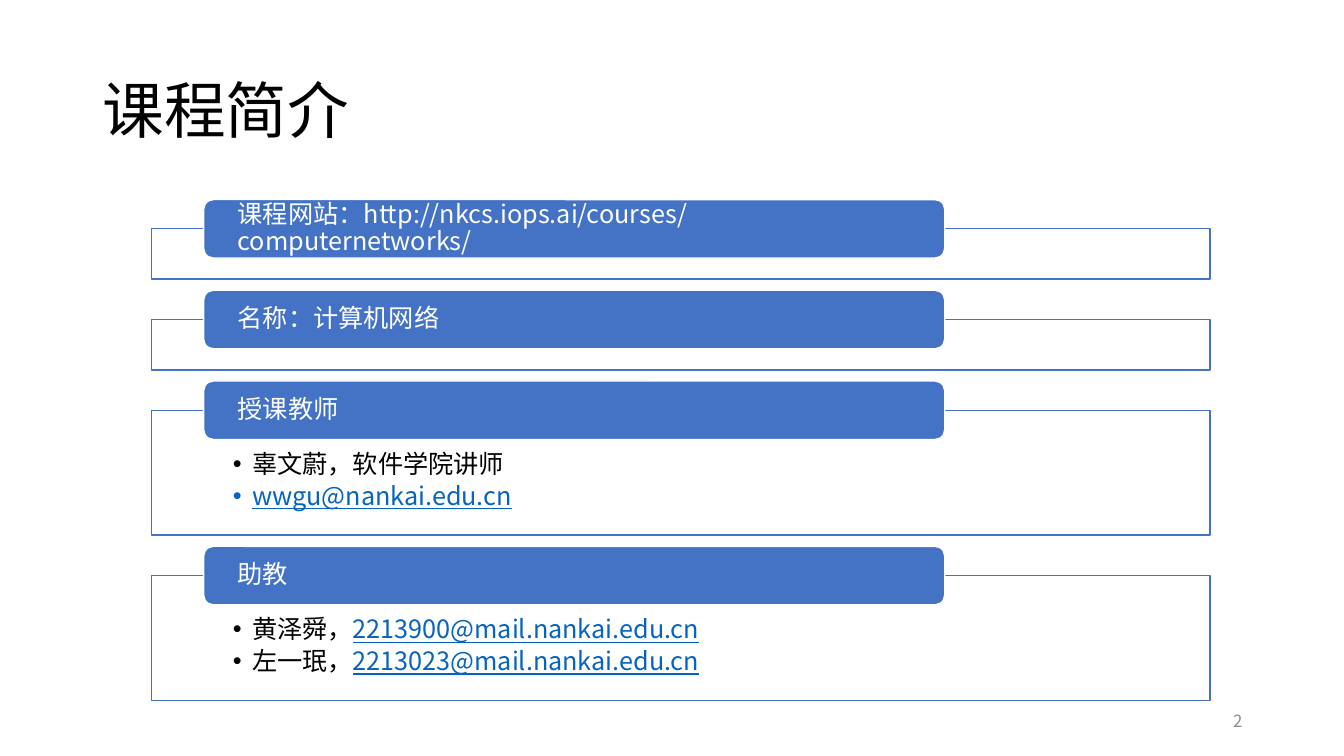
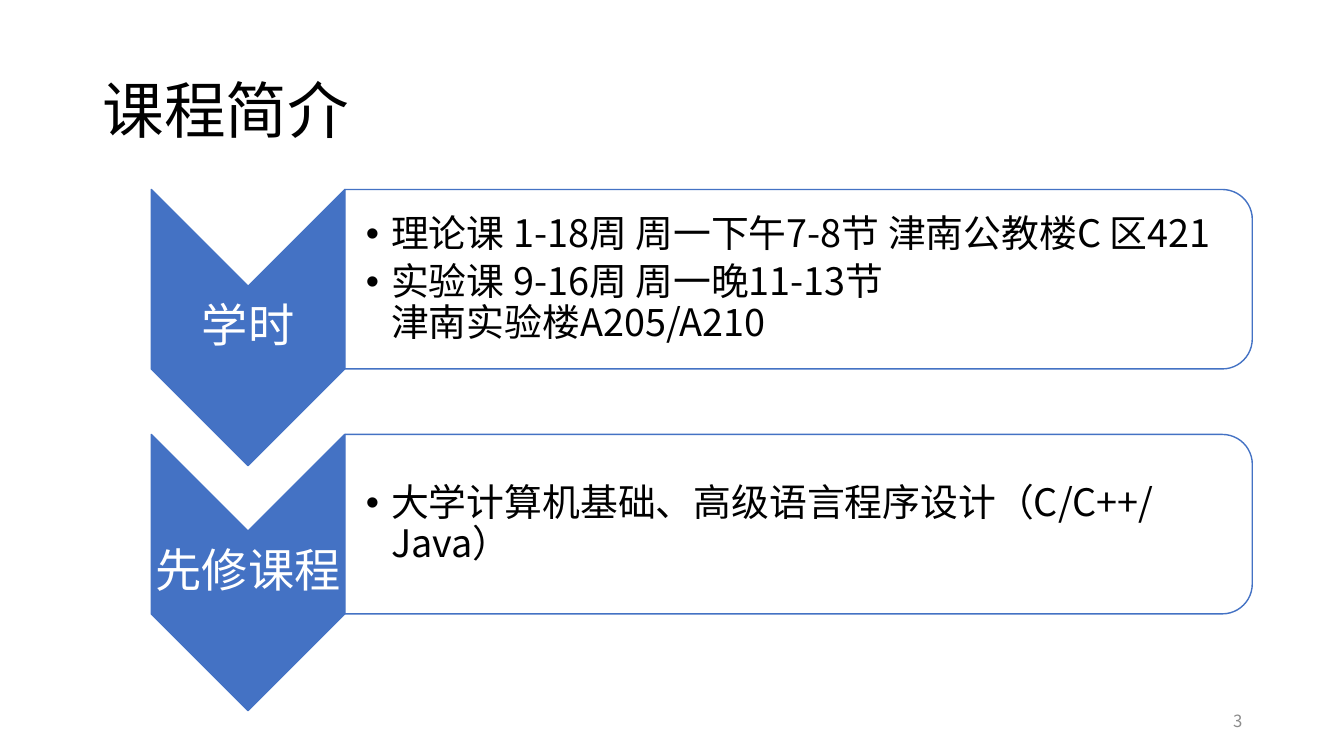
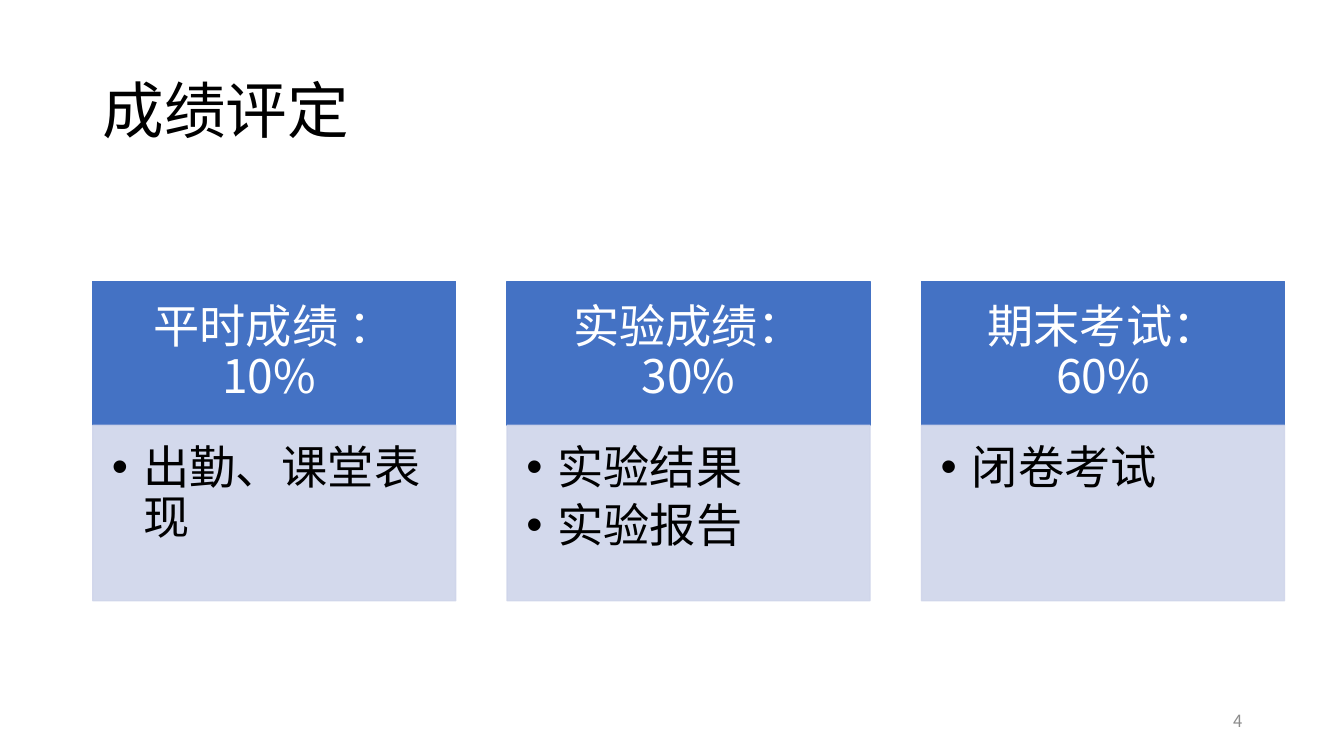
from dataclasses import dataclass

from lxml.etree import SubElement
from pptx import Presentation
from pptx.dml.color import RGBColor
from pptx.enum.shapes import MSO_SHAPE as Shape
from pptx.enum.text import MSO_ANCHOR as Anchor, PP_ALIGN as Align
from pptx.oxml.ns import qn
from pptx.util import Inches, Pt


@dataclass(frozen=True)
class Theme:
    font: str = "Noto Sans CJK SC"
    black: str = "000000"
    white: str = "FFFFFF"
    accent: str = "4472C4"
    tint: str = "CFD5EA"
    link: str = "0563C1"
    muted: str = "8C8C8C"
    title: int = 44
    label: int = 33
    body: int = 27
    small: int = 18
    number: int = 12
    line_width: int = 1
    line_spacing: float = 0.9
    opacity: int = 90


@dataclass(frozen=True)
class Box:
    left: float
    top: float
    width: float
    height: float

    def inches(self):
        return [Inches(v) for v in (self.left, self.top, self.width, self.height)]

    def turned(self):
        return Box(
            self.left + (self.width - self.height) / 2,
            self.top + (self.height - self.width) / 2,
            self.height,
            self.width,
        )


THEME = Theme()


def set_opacity(color_format, percent):
    for color in color_format.iter(qn("a:srgbClr")):
        SubElement(color, qn("a:alpha"), val=str(percent * 1000))


def add_block(page, kind, box, fill, line, opacity=100, line_opacity=100, quarter_turn=False):
    place = box.turned() if quarter_turn else box
    shape = page.shapes.add_shape(kind, *place.inches())
    shape.rotation = 90 if quarter_turn else 0
    shape.shadow.inherit = False
    shape.fill.solid()
    shape.fill.fore_color.rgb = RGBColor.from_string(fill)
    shape.line.color.rgb = RGBColor.from_string(line)
    shape.line.width = Pt(THEME.line_width)
    properties = shape.element.spPr
    if opacity < 100:
        set_opacity(properties.find(qn("a:solidFill")), opacity)
    if line_opacity < 100:
        set_opacity(properties.find(qn("a:ln")), line_opacity)
    return shape


def add_bullet(para, indent):
    properties = para._p.get_or_add_pPr()
    properties.set("marL", str(Inches(indent)))
    properties.set("indent", str(-Inches(indent)))
    SubElement(properties, qn("a:buFont"), typeface="Arial")
    SubElement(properties, qn("a:buChar"), char="•")


def add_span(para, text, size, color, underline=False):
    span = para.add_run()
    span.text = text
    font = span.font
    font.size = Pt(size)
    font.color.rgb = RGBColor.from_string(color)
    font.name = THEME.font
    if underline:
        font.underline = True
    SubElement(span._r.get_or_add_rPr(), qn("a:ea"), typeface=THEME.font)


def write(shape, paragraphs, size, color, insets=(0.1, 0.05, 0.1, 0.05),
          anchor=Anchor.MIDDLE, align=Align.LEFT, indent=0, spacing=THEME.line_spacing):
    frame = shape.text_frame
    frame.word_wrap = True
    frame.vertical_anchor = anchor
    frame.margin_left, frame.margin_top, frame.margin_right, frame.margin_bottom = map(Inches, insets)
    for index, parts in enumerate(paragraphs):
        para = frame.add_paragraph() if index else frame.paragraphs[0]
        if indent:
            add_bullet(para, indent)
            para.space_after = Pt(round(size * 0.18, 1))
        para.alignment = align
        para.line_spacing = spacing
        for text in parts:
            is_mail = "@" in text
            add_span(para, text, size, THEME.link if is_mail else color, is_mail)


def add_text(page, box, paragraphs, size, color, **style):
    write(page.shapes.add_textbox(*box.inches()), paragraphs, size, color, **style)


def add_page(deck, title, number):
    page = deck.slides.add_slide(deck.slide_layouts[6])
    add_text(page, Box(0.92, 0.4, 11.5, 1.45), [[title]], THEME.title, THEME.black)
    add_text(page, Box(9.42, 6.95, 3, 0.4), [[str(number)]], THEME.number, THEME.muted,
             align=Align.RIGHT, spacing=1.0)
    return page


def add_section(page, box, heading, details):
    panel = add_block(page, Shape.RECTANGLE, box, THEME.white, THEME.accent, THEME.opacity)
    if details:
        write(panel, details, THEME.small, THEME.black, insets=(0.81, 0.41, 0.81, 0.14),
              anchor=Anchor.TOP, indent=0.19)
    header_box = Box(box.left + 0.52, box.top - 0.29, 7.35, 0.58)
    header = add_block(page, Shape.ROUNDED_RECTANGLE, header_box, THEME.accent, THEME.white)
    write(header, [[heading]], THEME.small, THEME.white, insets=(0.31, 0, 0.31, 0))


def add_chevron_row(page, box, label, details):
    chevron_box = Box(box.left, box.top, 1.92, box.height)
    add_block(page, Shape.CHEVRON, chevron_box, THEME.accent, THEME.accent, quarter_turn=True)
    label_box = Box(box.left, box.top + 0.96, chevron_box.width, 0.82)
    add_text(page, label_box, [[label]], THEME.label, THEME.white,
             insets=(0.02,) * 4, align=Align.CENTER)
    panel_left = box.left + chevron_box.width
    panel_box = Box(panel_left, box.top, box.width - chevron_box.width, 1.78)
    add_block(page, Shape.ROUND_2_SAME_RECTANGLE, panel_box, THEME.white, THEME.accent,
              THEME.opacity, quarter_turn=True)
    detail_box = Box(panel_left, box.top + 0.09, panel_box.width - 0.09, 1.61)
    add_text(page, detail_box, details, THEME.body, THEME.black,
             insets=(0.21, 0.02, 0.02, 0.02), indent=0.25)


def add_card(page, box, heading, details):
    header_height = 1.43
    header_box = Box(box.left, box.top, box.width, header_height)
    header = add_block(page, Shape.RECTANGLE, header_box, THEME.accent, THEME.accent)
    write(header, [[heading]], THEME.label, THEME.white,
          insets=(0.26, 0.15, 0.26, 0.15), align=Align.CENTER)
    body_box = Box(box.left, box.top + header_height, box.width, box.height - header_height)
    body = add_block(page, Shape.RECTANGLE, body_box, THEME.tint, THEME.tint,
                     THEME.opacity, THEME.opacity)
    write(body, details, THEME.label, THEME.black, insets=(0.19, 0.19, 0.26, 0.29),
          anchor=Anchor.TOP, indent=0.31)


def build_overview(page):
    sections = [
        ("课程网站：http://nkcs.iops.ai/courses/computernetworks/", []),
        ("名称：计算机网络", []),
        ("授课教师", [["辜文蔚，软件学院讲师"], ["wwgu@nankai.edu.cn"]]),
        ("助教", [["黄泽舜，", "2213900@mail.nankai.edu.cn"],
                ["左一珉，", "2213023@mail.nankai.edu.cn"]]),
    ]
    top, gap = 2.27, 0.4
    for heading, details in sections:
        height = 1.24 if details else 0.5
        add_section(page, Box(1.5, top, 10.5, height), heading, details)
        top += height + gap


def build_schedule(page):
    rows = [
        ("学时", [["理论课 1-18周 周一下午7-8节 津南公教楼C 区421"],
                ["实验课 9-16周 周一晚11-13节 津南实验楼A205/A210"]]),
        ("先修课程", [["大学计算机基础、高级语言程序设计（C/C++/Java）"]]),
    ]
    for index, (label, details) in enumerate(rows):
        add_chevron_row(page, Box(1.5, 1.88 + index * 2.43, 10.92, 2.74), label, details)


def build_grading(page):
    cards = [
        ("平时成绩 ：10% ", [["出勤、课堂表现"]]),
        ("实验成绩：30%", [["实验结果"], ["实验报告"]]),
        ("期末考试：60%", [["闭卷考试"]]),
    ]
    width, gap = 3.6, 0.51
    for index, (heading, details) in enumerate(cards):
        left = 0.92 + index * (width + gap)
        add_card(page, Box(left, 2.79, width, 3.17), heading, details)


def main():
    deck = Presentation()
    deck.slide_width, deck.slide_height = Inches(13.33), Inches(7.5)
    pages = [("课程简介", build_overview), ("课程简介", build_schedule), ("成绩评定", build_grading)]
    for number, (title, build) in enumerate(pages, start=2):
        build(add_page(deck, title, number))
    deck.save("out.pptx")


if __name__ == "__main__":
    main()
